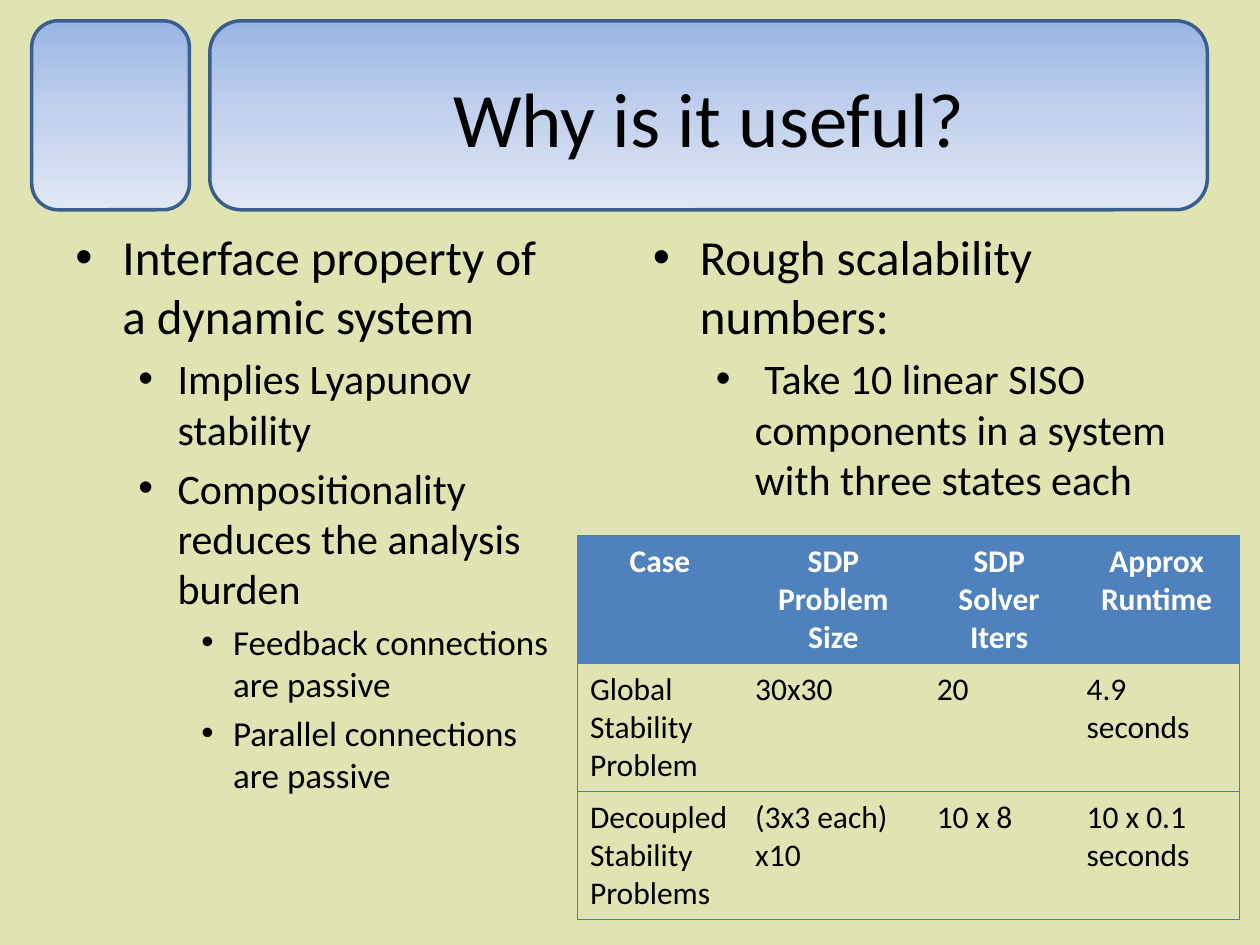
from copy import deepcopy

from lxml import etree
from pptx import Presentation
from pptx.dml.color import RGBColor
from pptx.enum.shapes import MSO_SHAPE
from pptx.enum.text import MSO_ANCHOR, PP_ALIGN
from pptx.oxml.ns import qn
from pptx.util import Cm, Pt

ROUNDED = MSO_SHAPE.ROUNDED_RECTANGLE
MIDDLE = MSO_ANCHOR.MIDDLE
CENTER = PP_ALIGN.CENTER
LEFT = PP_ALIGN.LEFT

FONT = "Calibri"
COLORS = {
    "background": "DFE4B2",
    "panel_top": "9AB5E4",
    "panel_middle": "C2D1ED",
    "panel_bottom": "E1E8F5",
    "panel_line": "3A5F8C",
    "header": "4F81BD",
    "border": "4B7EBC",
    "text": "000000",
    "header_text": "FFFFFF",
}
PLAIN_TABLE = "{2D5ABB26-0587-4C30-8999-92F81FD0307C}"

LEVELS = [
    {"size": 28, "margin": 0.95, "hang": 0.95},
    {"size": 24, "margin": 2.06, "hang": 0.79},
    {"size": 20, "margin": 3.18, "hang": 0.64},
]
REASONS = [
    (0, "Interface property of a dynamic system"),
    (1, "Implies Lyapunov stability"),
    (1, "Compositionality reduces the analysis burden"),
    (2, "Feedback connections are passive"),
    (2, "Parallel connections are passive"),
]
SCALABILITY = [
    (0, "Rough scalability numbers:"),
    (1, " Take 10 linear SISO components in a system with three states each"),
]
RUNTIMES = [
    ["Case", "SDP Problem Size", "SDP Solver Iters", "Approx Runtime"],
    ["Global Stability Problem", "30x30", "20", "4.9 seconds"],
    ["Decoupled Stability Problems", "(3x3 each) x10", "10 x 8", "10 x 0.1 seconds"],
]
COLUMN_WIDTHS = [3.33, 3.66, 3.02, 3.33]
ROW_HEIGHT = 2.58


def color(name):
    return RGBColor.from_string(COLORS[name])


def write(paragraph, text, size, color_name="text", bold=False, alignment=LEFT):
    paragraph.alignment = alignment
    run = paragraph.add_run()
    run.text = text
    run.font.color.rgb = color(color_name)
    for name, value in {"name": FONT, "size": Pt(size), "bold": bold}.items():
        setattr(run.font, name, value)


def add_panel(slide, left, width):
    shape = slide.shapes.add_shape(ROUNDED, Cm(left), Cm(0.42), Cm(width), Cm(3.81))
    shape.shadow.inherit = False
    shape.line.color.rgb = color("panel_line")
    shape.line.width = Pt(2)
    shape.fill.gradient()
    shape.fill.gradient_angle = 270
    stop_list = shape._element.spPr.find(qn("a:gradFill")).find(qn("a:gsLst"))
    stop_list.append(deepcopy(stop_list[-1]))
    names = ["panel_top", "panel_middle", "panel_bottom"]
    for index, (stop, name) in enumerate(zip(shape.fill.gradient_stops, names)):
        stop.position = index / 2
        stop.color.rgb = color(name)


def add_text_frame(slide, left, top, width, height):
    box = slide.shapes.add_textbox(Cm(left), Cm(top), Cm(width), Cm(height))
    box.text_frame.word_wrap = True
    return box.text_frame


def add_title(slide, text):
    frame = add_text_frame(slide, 4.45, 0.76, 19.69, 3.18)
    frame.vertical_anchor = MIDDLE
    write(frame.paragraphs[0], text, 44, alignment=CENTER)


def add_bullets(slide, left, width, items):
    frame = add_text_frame(slide, left, 4.45, width, 12.57)
    for index, (level, text) in enumerate(items):
        paragraph = frame.add_paragraph() if index else frame.paragraphs[0]
        style = LEVELS[level]
        paragraph.level = level
        paragraph.space_before = Pt(style["size"] * 0.2)
        write(paragraph, text, style["size"])
        properties = paragraph._p.get_or_add_pPr()
        properties.set("marL", str(Cm(style["margin"])))
        properties.set("indent", str(-Cm(style["hang"])))
        etree.SubElement(properties, qn("a:buFont"), typeface="Arial")
        etree.SubElement(properties, qn("a:buChar"), char="•")


def add_borders(cell, sides):
    properties = cell._tc.get_or_add_tcPr()
    for side in sides:
        line = etree.SubElement(properties, qn(f"a:ln{side}"), w=str(Pt(0.75)))
        fill = etree.SubElement(line, qn("a:solidFill"))
        etree.SubElement(fill, qn("a:srgbClr"), val=COLORS["border"])


def format_cell(cell, text, is_header, sides):
    add_borders(cell, sides)
    if is_header:
        cell.fill.solid()
        cell.fill.fore_color.rgb = color("header")
        write(cell.text_frame.paragraphs[0], text, 18, "header_text", True, CENTER)
    else:
        cell.fill.background()
        write(cell.text_frame.paragraphs[0], text, 18)


def add_runtime_table(slide, rows):
    frame = slide.shapes.add_table(
        len(rows), len(COLUMN_WIDTHS), Cm(11.64), Cm(10.8),
        Cm(sum(COLUMN_WIDTHS)), Cm(ROW_HEIGHT * len(rows)),
    )
    table = frame.table
    table.horz_banding = False
    table._tbl.tblPr.find(qn("a:tableStyleId")).text = PLAIN_TABLE
    for column, width in zip(table.columns, COLUMN_WIDTHS):
        column.width = Cm(width)
    last = len(COLUMN_WIDTHS) - 1
    for row_index, texts in enumerate(rows):
        table.rows[row_index].height = Cm(ROW_HEIGHT)
        for column_index, text in enumerate(texts):
            sides = {"L": column_index == 0, "R": column_index == last, "T": True, "B": True}
            shown = [side for side, visible in sides.items() if visible]
            format_cell(table.cell(row_index, column_index), text, row_index == 0, shown)


def main():
    presentation = Presentation()
    presentation.slide_width = Cm(25.4)
    presentation.slide_height = Cm(19.05)
    slide = presentation.slides.add_slide(presentation.slide_layouts[6])
    slide.background.fill.solid()
    slide.background.fill.fore_color.rgb = color("background")
    add_panel(slide, 4.23, 20.11)
    add_panel(slide, 0.64, 3.18)
    add_title(slide, "Why is it useful?")
    add_bullets(slide, 1.27, 10.37, REASONS)
    add_bullets(slide, 12.91, 11.22, SCALABILITY)
    add_runtime_table(slide, RUNTIMES)
    presentation.save("out.pptx")


if __name__ == "__main__":
    main()
